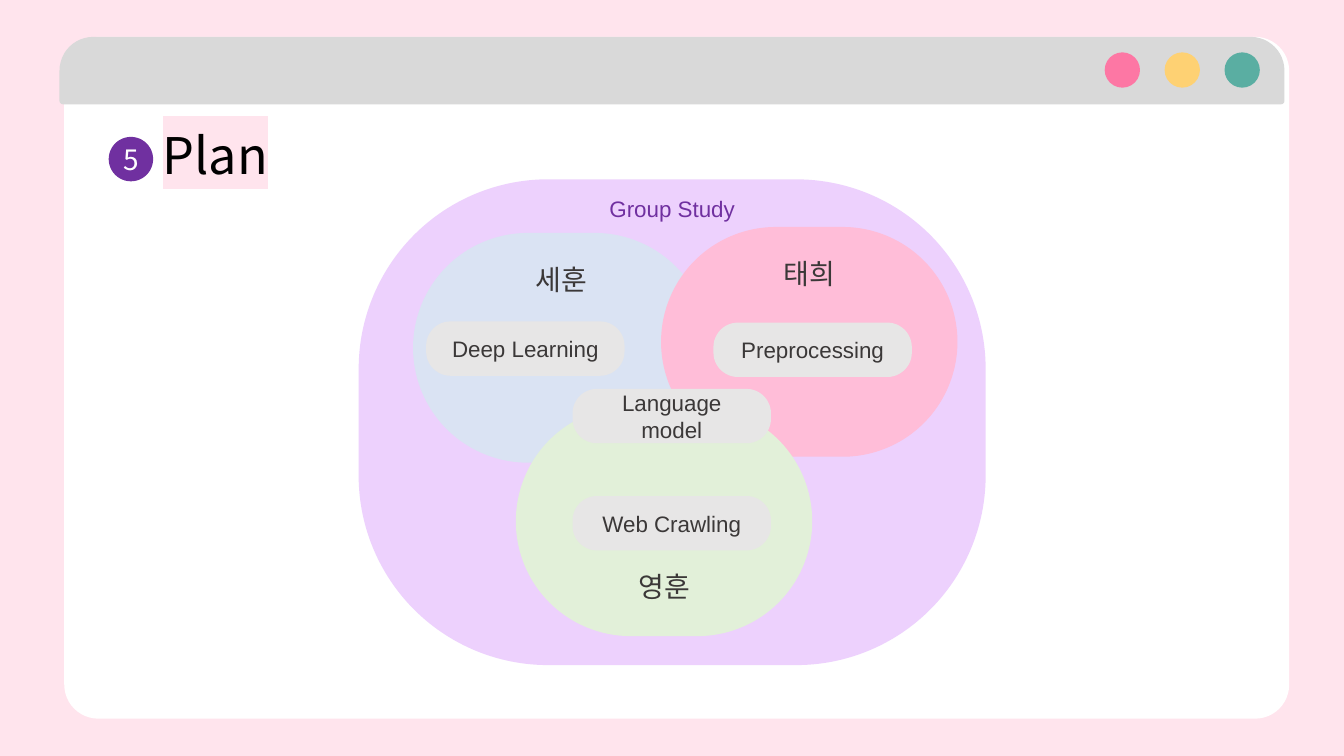
from dataclasses import dataclass

from lxml.etree import SubElement
from pptx import Presentation
from pptx.dml.color import RGBColor
from pptx.enum.shapes import MSO_SHAPE
from pptx.enum.text import MSO_ANCHOR, PP_ALIGN
from pptx.oxml import parse_xml
from pptx.oxml.ns import qn, nsdecls
from pptx.util import Cm, Pt


@dataclass(frozen=True)
class Theme:
    pink: str = "FFE4ED"
    white: str = "FFFFFF"
    black: str = "000000"
    bar: str = "D9D9D9"
    purple: str = "7030A0"
    lilac: str = "EDD1FD"
    blue: str = "DAE3F3"
    rose: str = "FFBDD8"
    green: str = "E2F0D9"
    pill: str = "E7E6E6"
    ink: str = "3B3838"
    dots: tuple = ("FD77A4", "FED173", "5AAEA2")
    sans: str = "Arial"
    hangul: str = "Noto Sans CJK KR"
    title: int = 36
    name: int = 20
    body: int = 16


@dataclass(frozen=True)
class Box:
    left: float
    top: float
    width: float
    height: float

    def cms(self) -> list:
        return [Cm(v) for v in (self.left, self.top, self.width, self.height)]


@dataclass(frozen=True)
class Member:
    name: str
    left: float
    top: float
    fill: str
    drop: float  # from the top of the blob to the middle of the name


@dataclass(frozen=True)
class Topic:
    text: str
    left: float
    top: float


THEME = Theme()
BLOB = (7.47, 5.79)
PILL = (5.0, 1.37)
MEMBERS = (
    Member("세훈", 10.41, 5.87, THEME.blue, 1.16),
    Member("태희", 16.66, 5.72, THEME.rose, 1.16),
    Member("영훈", 13.0, 10.24, THEME.green, 4.54),
)
TOPICS = (
    Topic("Deep Learning", 10.74, 8.1),
    Topic("Web Crawling", 14.43, 12.5),
    Topic("Language model", 14.43, 9.8),
    Topic("Preprocessing", 17.98, 8.13),
)


def write(shape, text: str, *, size: int, color: str, font: str = THEME.sans,
          inset: float = 0, wrap: bool = True, mark: str = "") -> None:
    """Fill a shape with one centred paragraph."""
    frame = shape.text_frame
    frame.word_wrap = wrap
    frame.vertical_anchor = MSO_ANCHOR.MIDDLE
    frame.margin_left = frame.margin_right = Cm(inset)
    frame.margin_top = frame.margin_bottom = 0
    line = frame.paragraphs[0]
    line.alignment = PP_ALIGN.CENTER
    run = line.add_run()
    run.text = text
    run.font.size = Pt(size)
    run.font.name = font
    run.font.color.rgb = RGBColor.from_string(color)
    props = run.font._element
    SubElement(props, qn("a:ea")).set("typeface", THEME.hangul)
    if mark:
        props.find(qn("a:solidFill")).addnext(parse_xml(
            f'<a:highlight {nsdecls("a")}><a:srgbClr val="{mark}"/></a:highlight>'))


def draw(slide, kind: MSO_SHAPE, box: Box, fill: str, *bends: float):
    """Add a flat preset shape with the given corner bends."""
    shape = slide.shapes.add_shape(kind, *box.cms())
    shape.shadow.inherit = False
    shape.fill.solid()
    shape.fill.fore_color.rgb = RGBColor.from_string(fill)
    shape.line.fill.background()
    for i, bend in enumerate(bends):
        shape.adjustments[i] = bend
    return shape


def label(slide, text: str, box: Box, **style) -> None:
    write(slide.shapes.add_textbox(*box.cms()), text, **style)


def frame_page(slide) -> None:
    # Browser window with its title bar and buttons
    draw(slide, MSO_SHAPE.ROUNDED_RECTANGLE,
         Box(1.62, 0.93, 30.87, 17.18), THEME.white, 0.05)
    draw(slide, MSO_SHAPE.ROUND_2_SAME_RECTANGLE,
         Box(1.5, 0.93, 30.87, 1.7), THEME.bar, 0.5, 0.05)
    for i, color in enumerate(THEME.dots):
        draw(slide, MSO_SHAPE.OVAL, Box(27.84 + 1.51 * i, 1.32, 0.89, 0.89), color)


def add_title(slide) -> None:
    # Numbered heading
    label(slide, "Plan", Box(3.86, 2.97, 3.14, 1.84), size=THEME.title,
          color=THEME.black, font=THEME.hangul, wrap=False, mark=THEME.pink)
    badge = draw(slide, MSO_SHAPE.OVAL, Box(2.74, 3.45, 1.12, 1.12), THEME.purple)
    write(badge, "5", size=THEME.name, color=THEME.white, font=THEME.hangul)


def add_group(slide) -> None:
    # Shared study area
    area = Box(9.04, 4.52, 15.8, 12.24)
    draw(slide, MSO_SHAPE.ROUNDED_RECTANGLE, area, THEME.lilac, 0.39)
    label(slide, "Group Study", Box(area.left, 4.86, area.width, 0.8),
          size=THEME.body, color=THEME.purple)
    # Members
    for m in MEMBERS:
        draw(slide, MSO_SHAPE.ROUNDED_RECTANGLE,
             Box(m.left, m.top, *BLOB), m.fill, 0.5)
        label(slide, m.name, Box(m.left, m.top + m.drop - 0.5, BLOB[0], 1),
              size=THEME.name, color=THEME.ink)
    # Topics
    for t in TOPICS:
        pill = draw(slide, MSO_SHAPE.ROUNDED_RECTANGLE,
                    Box(t.left, t.top, *PILL), THEME.pill, 0.45)
        write(pill, t.text, size=THEME.body, color=THEME.ink, inset=0.3)


def main() -> None:
    deck = Presentation()
    deck.slide_width, deck.slide_height = Cm(33.87), Cm(19.05)
    slide = deck.slides.add_slide(deck.slide_layouts[6])
    slide.background.fill.solid()
    slide.background.fill.fore_color.rgb = RGBColor.from_string(THEME.pink)
    frame_page(slide)
    add_title(slide)
    add_group(slide)
    deck.save("out.pptx")


if __name__ == "__main__":
    main()
